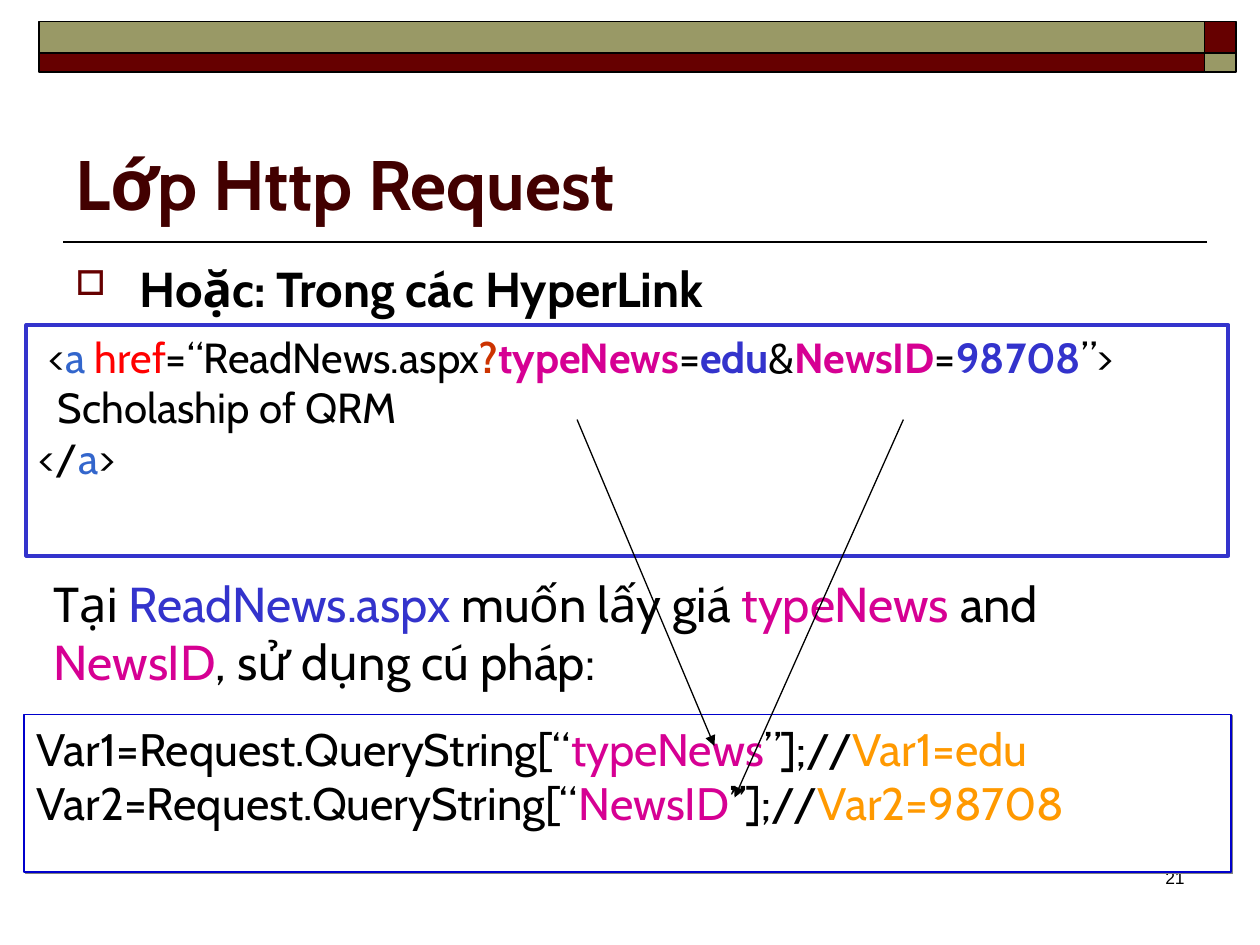
"""Build the slide on reading query-string values with Http Request."""
from lxml import etree
from pptx import Presentation
from pptx import util as u
from pptx.dml.color import RGBColor
from pptx.enum import shapes, text
from pptx.oxml import ns

BLACK = RGBColor(0, 0, 0)
WHITE = RGBColor(255, 255, 255)
MAROON = RGBColor(0x66, 0, 0)
DARK_MAROON = RGBColor(0x42, 0, 0)
OLIVE = RGBColor(0x99, 0x99, 0x66)
BLUE = RGBColor(0x33, 0x33, 0xCC)
NAVY = RGBColor(0, 0, 0xCC)
TAG_BLUE = RGBColor(0x33, 0x66, 0xCC)
RED = RGBColor(0xFF, 0, 0)
RUST = RGBColor(0xCC, 0x33, 0)
MAGENTA = RGBColor(0xD6, 0, 0x93)
ORANGE = RGBColor(0xFF, 0x99, 0)
GREY = RGBColor(0x80, 0x80, 0x80)


def add_child(parent, tag, **attributes):
    return etree.SubElement(parent, ns.qn(tag), attributes)


def add_bar(slide, box, fill, line=BLACK, width=1):
    bar = slide.shapes.add_shape(shapes.MSO_SHAPE.RECTANGLE, *map(u.Inches, box))
    bar.shadow.inherit = False
    if fill is None:
        bar.fill.background()
    else:
        bar.fill.solid()
        bar.fill.fore_color.rgb = fill
    bar.line.color.rgb = line
    bar.line.width = u.Pt(width)
    return bar


def add_line(slide, start, end, width, arrow=False):
    line = slide.shapes.add_connector(
        shapes.MSO_CONNECTOR.STRAIGHT, *map(u.Inches, start + end))
    line.line.color.rgb = BLACK
    line.line.width = u.Pt(width)
    if arrow:
        add_child(line.line._get_or_add_ln(), "a:tailEnd", type="triangle")
    add_child(line._element.spPr, "a:effectLst")


def write(holder, lines, size, font="Cabin", align=text.PP_ALIGN.LEFT,
          anchor=text.MSO_ANCHOR.TOP):
    """Write lines of (wording, colour, bold) pieces into a shape."""
    frame = holder.text_frame
    frame.word_wrap = True
    frame.vertical_anchor = anchor
    for number, pieces in enumerate(lines):
        paragraph = frame.add_paragraph() if number else frame.paragraphs[0]
        paragraph.alignment = align
        for wording, colour, *bold in pieces:
            run = paragraph.add_run()
            run.text = wording
            run.font.name = font
            run.font.size = u.Pt(size)
            run.font.color.rgb = colour
            run.font.bold = bool(bold and bold[0])
    return frame


def add_text(slide, box, lines, size, **style):
    return write(slide.shapes.add_textbox(*map(u.Inches, box)), lines, size, **style)


def indent(paragraph, margin, first=0):
    properties = paragraph._p.get_or_add_pPr()
    properties.set("marL", str(u.Inches(margin)))
    properties.set("indent", str(u.Inches(first)))
    return properties


def add_bullet(paragraph):
    paragraph.space_before = u.Pt(7)
    properties = indent(paragraph, 0.51, -0.51)
    add_child(add_child(properties, "a:buClr"), "a:srgbClr", val=str(MAROON))
    add_child(properties, "a:buSzPct", val="70000")
    add_child(properties, "a:buChar", char="□")


def add_drop_shadow(shape):
    effects = shape._element.spPr.find(ns.qn("a:effectLst"))
    shadow = add_child(effects, "a:outerShdw", dist=str(u.Pt(1.4)),
                       dir="2700000", algn="ctr", rotWithShape="0")
    add_child(shadow, "a:srgbClr", val=str(GREY))


def add_banner(slide):
    for top, height, fills in ((0.17, 0.25, (OLIVE, MAROON)),
                               (0.42, 0.15, (MAROON, OLIVE))):
        for left, width, fill in zip((0.31, 9.56), (9.25, 0.25), fills):
            add_bar(slide, (left, top, width, height), fill)


def add_link_code(slide):
    link_box = add_bar(slide, (0.21, 2.58, 9.54, 1.83), None, BLUE, 2.25)
    frame = write(link_box, [
        [(" <", BLACK), ("a ", TAG_BLUE), ("href", RED),
         ("=“ReadNews.aspx", BLACK), ("?", RUST, True),
         ("typeNews", MAGENTA, True), ("=", BLACK), ("edu", BLUE, True),
         ("&", BLACK), ("NewsID", MAGENTA, True), ("=", BLACK),
         ("98708", BLUE, True), ("”>", BLACK)],
        [("Scholaship of QRM", BLACK)],
        [("</", BLACK), ("a", TAG_BLUE), (">", BLACK)],
    ], 24)
    indent(frame.paragraphs[1], 0.15)


def add_query_code(slide):
    query_box = add_bar(slide, (0.19, 5.67, 9.58, 1.25), WHITE, NAVY, 0.75)
    add_drop_shadow(query_box)
    write(query_box, [
        [(f"{variable}=Request.QueryString[“", BLACK), (key, MAGENTA),
         ("”];//", BLACK), (f"{variable}={value}", ORANGE)]
        for variable, key, value in (("Var1", "typeNews", "edu"),
                                     ("Var2", "NewsID", "98708"))
    ], 26)


def main():
    deck = Presentation()
    deck.slide_width, deck.slide_height = u.Inches(10), u.Inches(7.5)
    slide = deck.slides.add_slide(deck.slide_layouts[6])

    add_line(slide, (9.58, 1.92), (0.5, 1.92), 1)
    add_banner(slide)
    add_text(slide, (7.42, 6.83, 2.08, 0.5), [[("21", BLACK)]], 10,
             font="Arial", align=text.PP_ALIGN.RIGHT)
    add_text(slide, (0.5, 0.58, 9, 1.25), [[("Lớp Http Request", DARK_MAROON, True)]],
             40, anchor=text.MSO_ANCHOR.BOTTOM)
    heading = add_text(slide, (0.5, 2, 9, 4.7),
                       [[("Hoặc: Trong các HyperLink", BLACK, True)]], 28)
    add_bullet(heading.paragraphs[0])
    add_link_code(slide)
    add_query_code(slide)
    add_text(slide, (0.33, 4.5, 9.17, 1.04), [
        [("Tại ", BLACK), ("ReadNews.aspx", BLUE), (" muốn lấy giá ", BLACK),
         ("typeNews ", MAGENTA), ("and ", BLACK), ("NewsID", MAGENTA),
         (", sử dụng cú pháp:", BLACK)]], 28)
    add_line(slide, (4.58, 3.33), (5.67, 5.92), 0.75, arrow=True)
    add_line(slide, (7.17, 3.33), (5.83, 6.33), 0.75, arrow=True)
    deck.save("out.pptx")


if __name__ == "__main__":
    main()
